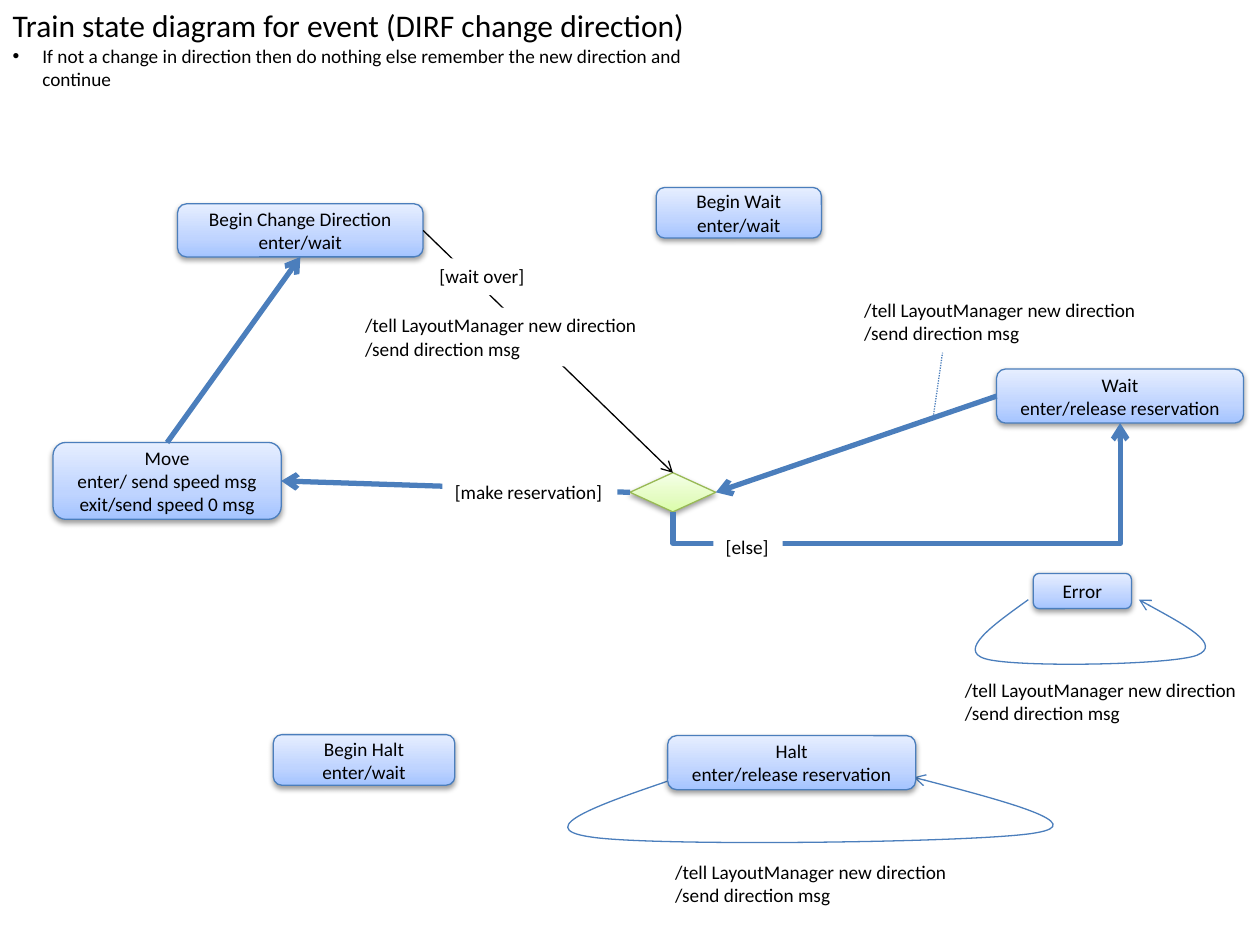
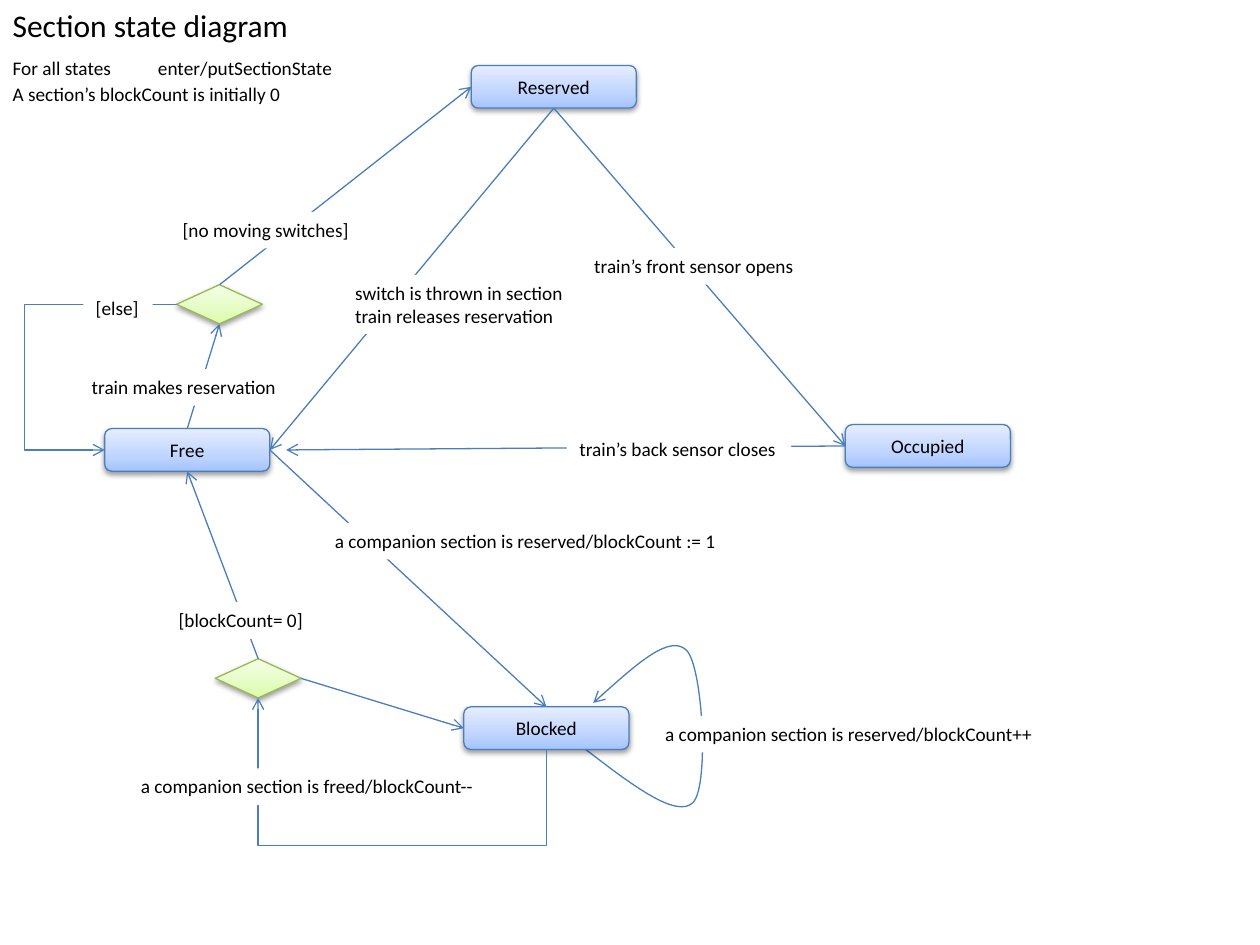
"""Build two state diagrams: train direction changes and track sections."""
from copy import deepcopy

from lxml import etree
from pptx import Presentation
from pptx.dml.color import RGBColor
from pptx.enum.dml import MSO_LINE
from pptx.enum.shapes import MSO_CONNECTOR, MSO_SHAPE
from pptx.enum.text import MSO_ANCHOR, MSO_AUTO_SIZE, PP_ALIGN
from pptx.oxml.ns import qn
from pptx.util import Cm, Pt

STATE, DECISION = MSO_SHAPE.ROUNDED_RECTANGLE, MSO_SHAPE.FLOWCHART_DECISION
STRAIGHT, ELBOW = MSO_CONNECTOR.STRAIGHT, MSO_CONNECTOR.ELBOW
DOTTED = MSO_LINE.ROUND_DOT
TOP_ANCHOR, MIDDLE = MSO_ANCHOR.TOP, MSO_ANCHOR.MIDDLE
LEFT_ALIGN, CENTER = PP_ALIGN.LEFT, PP_ALIGN.CENTER
NO_AUTOFIT = MSO_AUTO_SIZE.NONE
TOP, LEFT, BOTTOM, RIGHT = range(4)

FONT, BLACK, WHITE, BLUE, GREEN = "Calibri", "000000", "FFFFFF", "4B7EBC", "98B955"
BLUE_STOPS = ("A4C4FF", "BFD4FF", "E6EEFF")
GREEN_STOPS = ("DAFDA7", "E4FCC2", "F5FFE7")
THIN, THICK = 0.75, 3
TELL = "/tell LayoutManager new direction\n/send direction msg"
TELL_W = 6.05
LABEL_H = {1: 0.74, 2: 1.19}
DECISION_W, DECISION_H = 1.73, 0.79
SECTION_W, SECTION_H = 3.33, 0.86

SLIDES = [
    {
        "title": "Train state diagram for event (DIRF change direction)\n"
                 "If not a change in direction then do nothing else "
                 "remember the new direction and continue",
        "title_size": (15.09, 1.5),
        "gaps": (0, 0),
        "bullet": True,
        "states": {
            "move": (1.07, 8.92, 4.6, 1.55, "Move\nenter/ send speed msg\nexit/send speed 0 msg"),
            "error": (20.83, 11.56, 1.98, 0.71, "Error"),
            "wait": (20.09, 7.44, 4.98, 1.09, "Wait\nenter/release reservation"),
            "halt": (13.46, 14.83, 5, 1.09, "Halt\nenter/release reservation"),
            "begin wait": (13.23, 3.78, 3.33, 1.02, "Begin Wait\nenter/wait"),
            "begin change": (3.58, 4.11, 4.95, 1.07, "Begin Change Direction\nenter/wait"),
            "begin halt": (5.51, 14.81, 3.66, 1.02, "Begin Halt\nenter/wait"),
        },
        "decisions": {"can reserve": (12.7, 9.53)},
        "links": [
            (("move", TOP), ("begin change", BOTTOM), BLUE, THICK),
            (("can reserve", LEFT), ("move", RIGHT), BLUE, THICK),
            (("wait", LEFT), ("can reserve", RIGHT), BLUE, THICK),
            (("begin change", RIGHT), ("can reserve", TOP), BLACK, THIN),
        ],
        "elbows": [(("can reserve", BOTTOM), ("wait", BOTTOM), THICK, 90, "HV", -35600)],
        "notes": [(18.82, 8.36, 19, 7.11)],
        "loops": [
            [(13.69, 15.67), (12.19, 16.18), (10.67, 16.69), (11.89, 16.87), (13.08, 17.07),
             (19.79, 16.99), (20.88, 16.79), (21.97, 16.61), (20.19, 16.13), (18.42, 15.67)],
            [(20.73, 12.09), (20.02, 12.6), (19.3, 13.11), (19.86, 13.28), (20.45, 13.46),
             (23.6, 13.41), (24.13, 13.21), (24.64, 13), (23.8, 12.55), (22.96, 12.09)],
        ],
        "plain_labels": [(13.36, 17.22, TELL_W, TELL), (19.2, 13.54, TELL_W, TELL)],
        "labels": [
            (8.92, 9.55, 3.53, "[make reservation]"),
            (17.17, 5.89, TELL_W, TELL),
            (14.38, 10.67, 1.4, "[else]"),
            (7.11, 6.2, TELL_W, TELL),
            (8.61, 5.21, 2.24, "[wait over]"),
        ],
    },
    {
        "title": "Section state diagram\nFor all states\tenter/putSectionState\n"
                 "A section’s blockCount is initially 0",
        "title_size": (7.19, 2.26),
        "gaps": (0, 6.7, 1.9),
        "bullet": False,
        "states": {
            name: (x, y, SECTION_W, SECTION_H, name)
            for name, x, y in (("Free", 2.11, 8.64), ("Reserved", 9.5, 1.32),
                               ("Occupied", 17.04, 8.56), ("Blocked", 9.35, 14.25))
        },
        "decisions": {"unblocked": (4.34, 13.28), "switches still": (3.56, 5.74)},
        "links": [
            (("Reserved", BOTTOM), ("Occupied", LEFT), BLUE, THIN),
            (("Free", RIGHT), ("Blocked", TOP), BLUE, THIN),
            (("Occupied", LEFT), (5.77, 9.07), BLUE, THIN),
            (("Reserved", BOTTOM), ("Free", RIGHT), BLUE, THIN),
            (("unblocked", TOP), ("Free", BOTTOM), BLUE, THIN),
            (("unblocked", RIGHT), ("Blocked", LEFT), BLUE, THIN),
            (("Free", TOP), ("switches still", BOTTOM), BLUE, THIN),
            (("switches still", TOP), ("Reserved", LEFT), BLUE, THIN),
        ],
        "elbows": [
            (("Blocked", BOTTOM), ("unblocked", BOTTOM), THIN, 90, "H", -186400),
            (("switches still", LEFT), ("Free", LEFT), THIN, 180, "V", 211500),
        ],
        "notes": [],
        "loops": [
            [(11.81, 15.11), (12.73, 15.82), (13.64, 16.51), (13.97, 16.18), (14.3, 15.85),
             (14.17, 13.44), (13.84, 13.11), (13.51, 12.78), (12.75, 13.46), (11.96, 14.17)],
        ],
        "plain_labels": [],
        "labels": [
            (6.91, 5.54, 4.72, "switch is thrown in section\ntrain releases reservation"),
            (11.73, 5, 4.57, "train’s front sensor opens"),
            (11.43, 8.69, 4.52, "train’s back sensor closes"),
            (6.5, 10.54, 8.2, "a companion section is reserved/blockCount := 1"),
            (13.16, 14.43, 7.95, "a companion section is reserved/blockCount++"),
            (2.59, 15.49, 7.26, "a companion section is freed/blockCount--"),
            (3.35, 12.14, 3.02, "[blockCount= 0]"),
            (1.6, 7.44, 4.27, "train makes reservation"),
            (3.43, 4.27, 3.89, "[no moving switches]"),
            (1.68, 5.84, 1.4, "[else]"),
        ],
    },
]


def style_text(tf, text, align, anchor, wrap):
    """Fill a text frame with 11 pt black text."""
    tf.text = text
    tf.word_wrap = wrap
    tf.auto_size = NO_AUTOFIT
    tf.vertical_anchor = anchor
    for p in tf.paragraphs:
        p.alignment = align
        for r in p.runs:
            r.font.name, r.font.size = FONT, Pt(11)
            r.font.color.rgb = RGBColor.from_string(BLACK)


def style_line(sp, color, width, arrow=True):
    """Colour a line, drop its shadow and add an arrowhead at its end."""
    sp.line.color.rgb = RGBColor.from_string(color)
    sp.line.width = Pt(width)
    etree.SubElement(sp._element.spPr, qn("a:effectLst"))
    if arrow:
        etree.SubElement(sp.line._get_or_add_ln(), qn("a:tailEnd"), type="arrow")


prs = Presentation()
prs.slide_width, prs.slide_height = Cm(25.4), Cm(19.05)

for data in SLIDES:
    s = prs.slides.add_slide(prs.slide_layouts[5])
    title = s.shapes.title
    title.left, title.top = Cm(0), Cm(0)
    title.width, title.height = [Cm(v) for v in data["title_size"]]
    tf = title.text_frame
    style_text(tf, data["title"], LEFT_ALIGN, TOP_ANCHOR, False)
    tf.paragraphs[0].runs[0].font.size = Pt(18)
    for p, gap in zip(tf.paragraphs, data["gaps"]):
        p.space_before = Pt(gap)
    pPr = tf.paragraphs[1]._p.get_or_add_pPr()
    if data["bullet"]:
        etree.SubElement(pPr, qn("a:buFont"), typeface="Arial")
        etree.SubElement(pPr, qn("a:buChar"), char="•")
    else:
        tabs = etree.SubElement(pPr, qn("a:tabLst"))
        etree.SubElement(tabs, qn("a:tab"), pos=str(Cm(2.93)), algn="l")

    for points in data["loops"]:
        start, *rest = [(Cm(x), Cm(y)) for x, y in points]
        builder = s.shapes.build_freeform(*start)
        builder.add_line_segments(rest, close=False)
        sp = builder.convert_to_shape()
        sp.fill.background()
        style_line(sp, BLUE, THIN)
        outline = sp._element.find(".//" + qn("a:path"))
        segments = list(outline)[1:]
        for i in range(0, len(segments), 3):
            bezier = etree.SubElement(outline, qn("a:cubicBezTo"))
            for segment in segments[i:i + 3]:
                bezier.append(segment[0])
                outline.remove(segment)

    nodes = {}
    shapes = [(name, STATE, box, BLUE, BLUE_STOPS) for name, box in data["states"].items()]
    shapes += [(name, DECISION, (*place, DECISION_W, DECISION_H, ""), GREEN, GREEN_STOPS)
               for name, place in data["decisions"].items()]
    for name, kind, (x, y, w, h, text), color, stops in shapes:
        sp = s.shapes.add_shape(kind, Cm(x), Cm(y), Cm(w), Cm(h))
        nodes[name] = sp
        sp.fill.gradient()
        sp.fill.gradient_angle = 90
        gs_list = sp._element.find(".//" + qn("a:gsLst"))
        gs_list.insert(1, deepcopy(gs_list[0]))
        for stop, position, tint in zip(sp.fill.gradient_stops, (0, 0.35, 1), stops):
            stop.color.rgb = RGBColor.from_string(tint)
            stop.position = position
        style_line(sp, color, THIN, arrow=False)
        shadow = etree.SubElement(sp._element.spPr.find(qn("a:effectLst")), qn("a:outerShdw"),
                                  blurRad="40000", dist="20000", dir="5400000", rotWithShape="0")
        shade = etree.SubElement(shadow, qn("a:srgbClr"), val=BLACK)
        etree.SubElement(shade, qn("a:alpha"), val="38000")
        if text:
            style_text(sp.text_frame, text, CENTER, MIDDLE, True)

    for (origin, site), end, color, width in data["links"]:
        c = s.shapes.add_connector(STRAIGHT, 0, 0, 0, 0)
        c.begin_connect(nodes[origin], site)
        if end[0] in nodes:
            c.end_connect(nodes[end[0]], end[1])
        else:
            c.end_x, c.end_y = Cm(end[0]), Cm(end[1])
        style_line(c, color, width)

    for (origin, site), (target, target_site), width, turn, flips, bend in data["elbows"]:
        c = s.shapes.add_connector(ELBOW, 0, 0, 0, 0)
        c.begin_connect(nodes[origin], site)
        c.end_connect(nodes[target], target_site)
        mid_x, mid_y = (c.begin_x + c.end_x) // 2, (c.begin_y + c.end_y) // 2
        w, h = (c.height, c.width) if turn == 90 else (c.width, c.height)
        c.left, c.top, c.width, c.height = mid_x - w // 2, mid_y - h // 2, w, h
        xfrm = c._element.spPr.find(qn("a:xfrm"))
        xfrm.set("rot", str(turn * 60000))
        for axis in "HV":
            xfrm.set("flip" + axis, str(int(axis in flips)))
        guides = c._element.spPr.find(".//" + qn("a:avLst"))
        etree.SubElement(guides, qn("a:gd"), name="adj1", fmla=f"val {bend}")
        style_line(c, BLUE, width)

    for ends in data["notes"]:
        c = s.shapes.add_connector(STRAIGHT, *[Cm(v) for v in ends])
        style_line(c, BLUE, THIN, arrow=False)
        c.line.dash_style = DOTTED

    for key in ("plain_labels", "labels"):
        for x, y, w, text in data[key]:
            h = LABEL_H[len(text.split("\n"))]
            sp = s.shapes.add_textbox(Cm(x), Cm(y), Cm(w), Cm(h))
            style_text(sp.text_frame, text, LEFT_ALIGN, TOP_ANCHOR, False)
            if key == "labels":
                sp.fill.solid()
                sp.fill.fore_color.rgb = RGBColor.from_string(WHITE)

prs.save("out.pptx")
